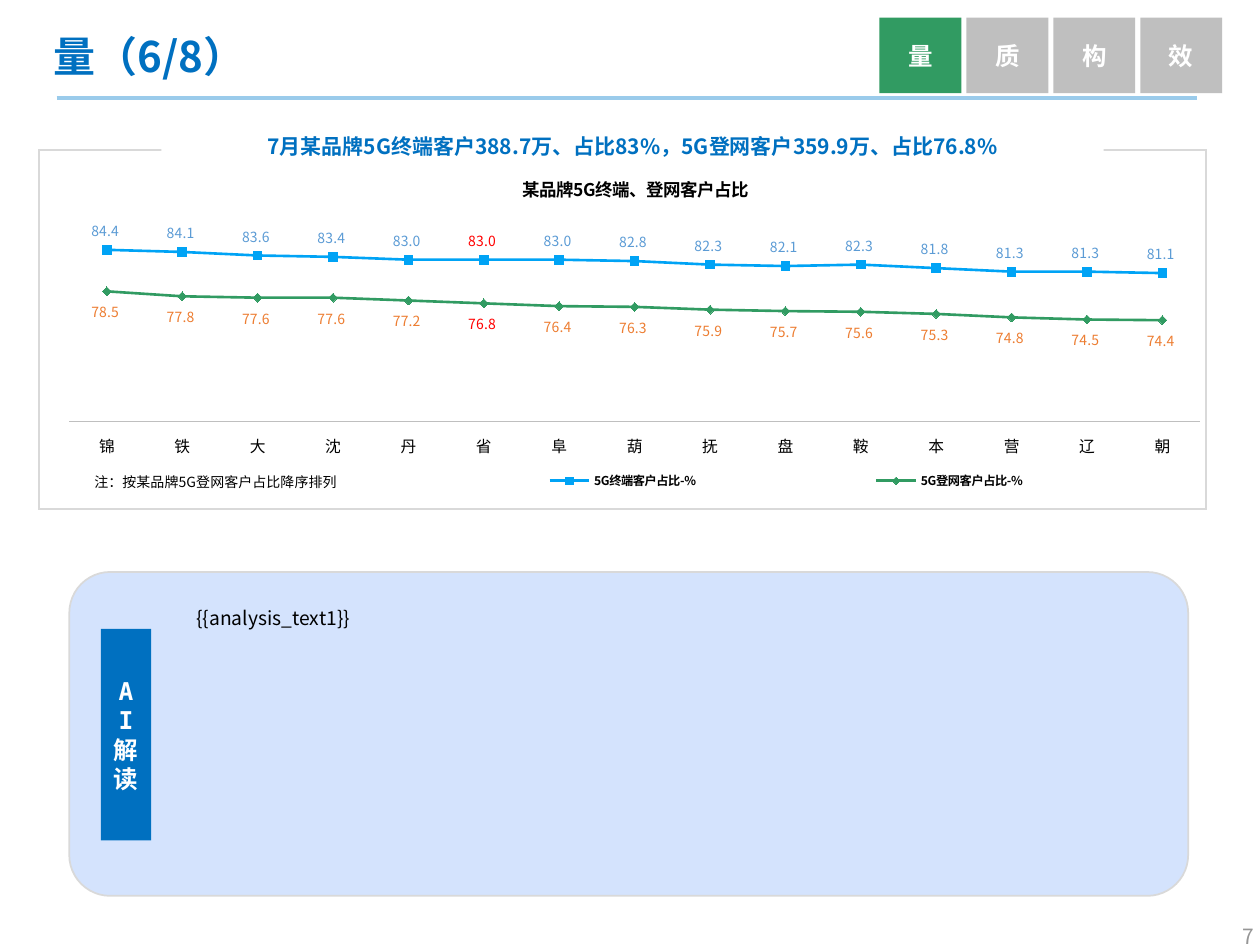
from lxml.etree import SubElement
from pptx import Presentation
from pptx.chart.data import CategoryChartData
from pptx.dml.color import RGBColor
from pptx.enum.chart import (XL_CHART_TYPE, XL_LABEL_POSITION, XL_LEGEND_POSITION,
                             XL_MARKER_STYLE, XL_TICK_LABEL_POSITION)
from pptx.enum.chart import XL_TICK_MARK
from pptx.enum.shapes import MSO_CONNECTOR, MSO_SHAPE
from pptx.enum.text import MSO_ANCHOR, PP_ALIGN
from pptx.oxml import parse_xml
from pptx.oxml.ns import nsdecls, qn
from pptx.util import Inches, Pt

COLORS = {
    "blue": "0070C0", "rule": "9ACBEB", "green": "319B62", "tab": "BFBFBF",
    "border": "D9D9D9", "panel": "D4E3FD", "white": "FFFFFF", "black": "000000",
    "gray": "969696", "terminal": "00A3F5", "terminal_label": "5B9BD5",
    "network_label": "ED7D31", "red": "FF0000",
}
SANS = "Noto Sans CJK SC"
CITIES = list("锦铁大沈丹省阜葫抚盘鞍本营辽朝")
PROVINCE = CITIES.index("省")
SERIES = [
    ("5G终端客户占比-%",
     (84.4, 84.1, 83.6, 83.4, 83, 83, 83, 82.8, 82.3, 82.1, 82.3, 81.8, 81.3, 81.3, 81.1),
     "terminal", "terminal_label", XL_MARKER_STYLE.SQUARE, XL_LABEL_POSITION.ABOVE),
    ("5G登网客户占比-%",
     (78.5, 77.8, 77.6, 77.6, 77.2, 76.8, 76.4, 76.3, 75.9, 75.7, 75.6, 75.3, 74.8, 74.5, 74.4),
     "green", "network_label", XL_MARKER_STYLE.DIAMOND, XL_LABEL_POSITION.BELOW),
]


def rgb(name):
    return RGBColor.from_string(COLORS[name])


def box(*lengths):
    return [Inches(n) for n in lengths]


def set_all(obj, values):
    for name, value in values.items():
        setattr(obj, name, value)


def set_font(font, size, color="black", bold=False, name=SANS):
    """Format a font for both Latin and East Asian text."""
    set_all(font, {"size": Pt(size), "bold": bold, "name": name})
    font.color.rgb = rgb(color)
    SubElement(font._rPr, qn("a:ea")).set("typeface", name)


def write(sp, text, size, color="black", bold=False, name=SANS, align=PP_ALIGN.LEFT,
          anchor=MSO_ANCHOR.TOP, spacing=None):
    tf = sp.text_frame
    set_all(tf, {"word_wrap": True, "vertical_anchor": anchor})
    for i, line in enumerate(text.split("\n")):
        p = tf.add_paragraph() if i else tf.paragraphs[0]
        set_all(p, {"alignment": align, "line_spacing": spacing})
        r = p.add_run()
        r.text = line
        set_font(r.font, size, color, bold, name)


def add_text(s, at, text, size, **fmt):
    write(s.shapes.add_textbox(*box(*at)), text, size, **fmt)


def add_block(s, at, fill, kind=MSO_SHAPE.RECTANGLE, line=None):
    sp = s.shapes.add_shape(kind, *box(*at))
    sp.shadow.inherit = False
    sp.fill.solid()
    sp.fill.fore_color.rgb = rgb(fill)
    if line:
        sp.line.color.rgb = rgb(line)
        sp.line.width = Pt(1)
    else:
        sp.line.fill.background()
    return sp


def add_rule(s):
    line = s.shapes.add_connector(MSO_CONNECTOR.STRAIGHT, *box(0.45, 0.78, 9.5, 0.78))
    line.line.color.rgb = rgb("rule")
    line.line.width = Pt(2.25)
    SubElement(line._element.spPr, qn("a:effectLst"))


def add_frame(s):
    """Add the one-cell table that frames the chart."""
    table = s.shapes.add_table(1, 1, *box(0.31, 1.19, 9.26, 2.85)).table
    set_all(table, {"first_row": False, "horz_banding": False})
    cell = table.cell(0, 0)
    tcPr = cell._tc.get_or_add_tcPr()
    for side in ("lnL", "lnR", "lnT", "lnB"):
        tcPr.append(parse_xml(
            f'<a:{side} {nsdecls("a")} w="12700"><a:solidFill>'
            f'<a:srgbClr val="{COLORS["border"]}"/></a:solidFill></a:{side}>'))
    cell.fill.background()


def place(element, **fractions):
    """Give a chart part a manual layout in fractions of the chart."""
    for old in element.findall(qn("c:layout")):
        element.remove(old)
    inner = '<c:layoutTarget val="inner"/>' if element.tag == qn("c:plotArea") else ""
    modes = "".join(f'<c:{k}Mode val="edge"/>' for k in "xy")
    values = "".join(f'<c:{k} val="{v}"/>' for k, v in fractions.items())
    layout = parse_xml(f'<c:layout {nsdecls("c")}><c:manualLayout>{inner}{modes}{values}'
                       '</c:manualLayout></c:layout>')
    before = {qn("c:title"): "c:tx", qn("c:legend"): "c:legendPos"}.get(element.tag)
    if before:
        element.find(qn(before)).addnext(layout)
    else:
        element.insert(0, layout)


def style_series(series, color, label_color, marker, position):
    series.smooth = False
    series.format.line.color.rgb = rgb(color)
    series.format.line.width = Pt(1.5)
    set_all(series.marker, {"style": marker, "size": 5})
    series.marker.format.fill.solid()
    series.marker.format.fill.fore_color.rgb = rgb(color)
    series.marker.format.line.color.rgb = rgb(color)
    labels = series.data_labels
    set_all(labels, {"show_value": True, "position": position, "number_format_is_linked": False,
                     "number_format": r"#,##0.0_);[Red]\(#,##0.0\)"})
    set_font(labels.font, 8, label_color)
    label = series.points[PROVINCE].data_label
    set_font(label.font, 8, "red")
    label.position = position


def add_share_chart(s):
    data = CategoryChartData(number_format="0.0")
    data.categories = CITIES
    for name, values, *_ in SERIES:
        data.add_series(name, values)
    chart = s.shapes.add_chart(XL_CHART_TYPE.LINE_MARKERS, *box(0.49, 1.25, 9.04, 2.73),
                               data).chart
    set_font(chart.font, 8)
    set_all(chart, {"has_title": True, "has_legend": True})
    r = chart.chart_title.text_frame.paragraphs[0].add_run()
    r.text = "某品牌5G终端、登网客户占比"
    set_font(r.font, 10, bold=True)
    set_all(chart.legend, {"position": XL_LEGEND_POSITION.BOTTOM, "include_in_layout": False})
    set_font(chart.legend.font, 7, bold=True)
    place(chart.chart_title._element, x=0.4, y=0.04)
    place(chart.legend._element, x=0.27, y=0.9, w=0.73, h=0.08)
    place(chart._chartSpace.chart.plotArea, x=0.003, y=0.195, w=0.997, h=0.573)

    axis = chart.category_axis
    set_all(axis, {"major_tick_mark": XL_TICK_MARK.NONE,
                   "tick_label_position": XL_TICK_LABEL_POSITION.LOW})
    axis.format.line.color.rgb = rgb("tab")
    axis.format.line.width = Pt(0.75)
    set_font(axis.tick_labels.font, 9)
    axis = chart.value_axis
    set_all(axis, {"minimum_scale": 60, "maximum_scale": 88, "major_unit": 4,
                   "has_major_gridlines": False,
                   "tick_label_position": XL_TICK_LABEL_POSITION.NONE})
    axis.format.line.fill.background()

    chart.plots[0].vary_by_categories = False
    for series, (_, _, *style) in zip(chart.plots[0].series, SERIES):
        style_series(series, *style)


def add_tabs(s):
    for i, name in enumerate("量质构效"):
        sp = add_block(s, (6.98 + 0.69 * i, 0.14, 0.65, 0.6), "tab" if i else "green")
        write(sp, name, 14, "white", True, align=PP_ALIGN.CENTER, anchor=MSO_ANCHOR.MIDDLE)


def add_analysis(s):
    panel = add_block(s, (0.55, 4.54, 8.88, 2.57), "panel", MSO_SHAPE.ROUNDED_RECTANGLE, "border")
    panel.adjustments[0] = 0.126
    add_text(s, (1.46, 4.67, 7.65, 2.33), "{{analysis_text1}}", 11, spacing=1.5)
    sp = add_block(s, (0.8, 4.99, 0.4, 1.68), "blue")
    write(sp, "AI解\n读", 14, "white", True, "DejaVu Sans Mono",
          PP_ALIGN.CENTER, MSO_ANCHOR.MIDDLE)


def main():
    prs = Presentation()
    set_all(prs, {"slide_width": Inches(10), "slide_height": Inches(7.5)})
    s = prs.slides.add_slide(prs.slide_layouts[6])
    add_text(s, (9.5, 7.22, 0.55, 0.37), "7", 12, color="gray", name="Noto Sans CJK JP",
             align=PP_ALIGN.RIGHT, spacing=1.3)
    add_rule(s)
    add_frame(s)
    add_share_chart(s)
    add_text(s, (0.65, 3.71, 2.15, 0.24), "注：按某品牌5G登网客户占比降序排列", 8)
    headline = add_block(s, (1.28, 1.01, 7.48, 0.32), "white")
    write(headline, "7月某品牌5G终端客户388.7万、占比83%，5G登网客户359.9万、占比76.8%",
          12, "blue", True, align=PP_ALIGN.CENTER)
    add_text(s, (0.33, 0.17, 9.47, 0.6), "量（6/8）", 24, color="blue", bold=True,
             anchor=MSO_ANCHOR.MIDDLE, spacing=0.9)
    add_tabs(s)
    add_analysis(s)
    prs.save("out.pptx")


if __name__ == "__main__":
    main()
